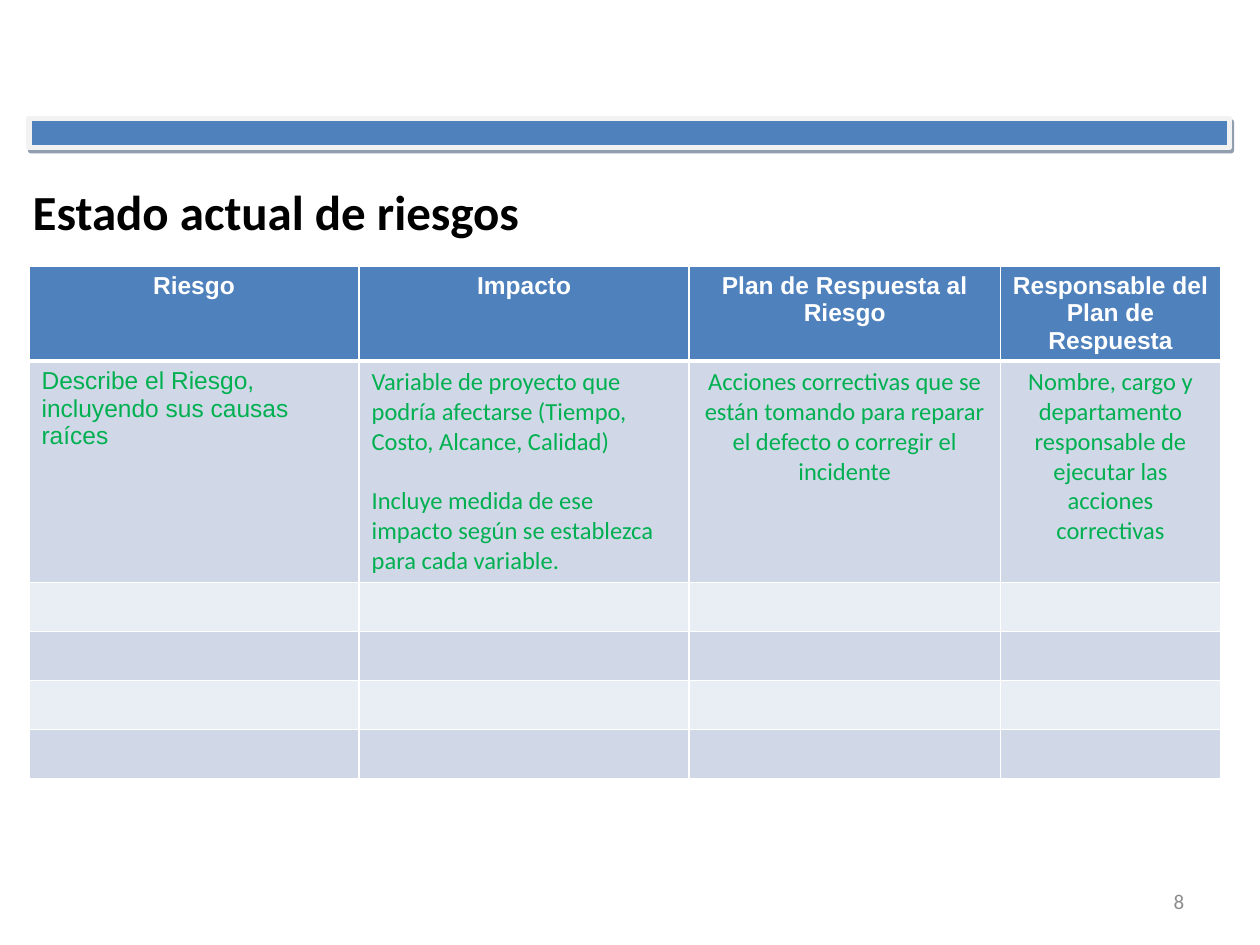
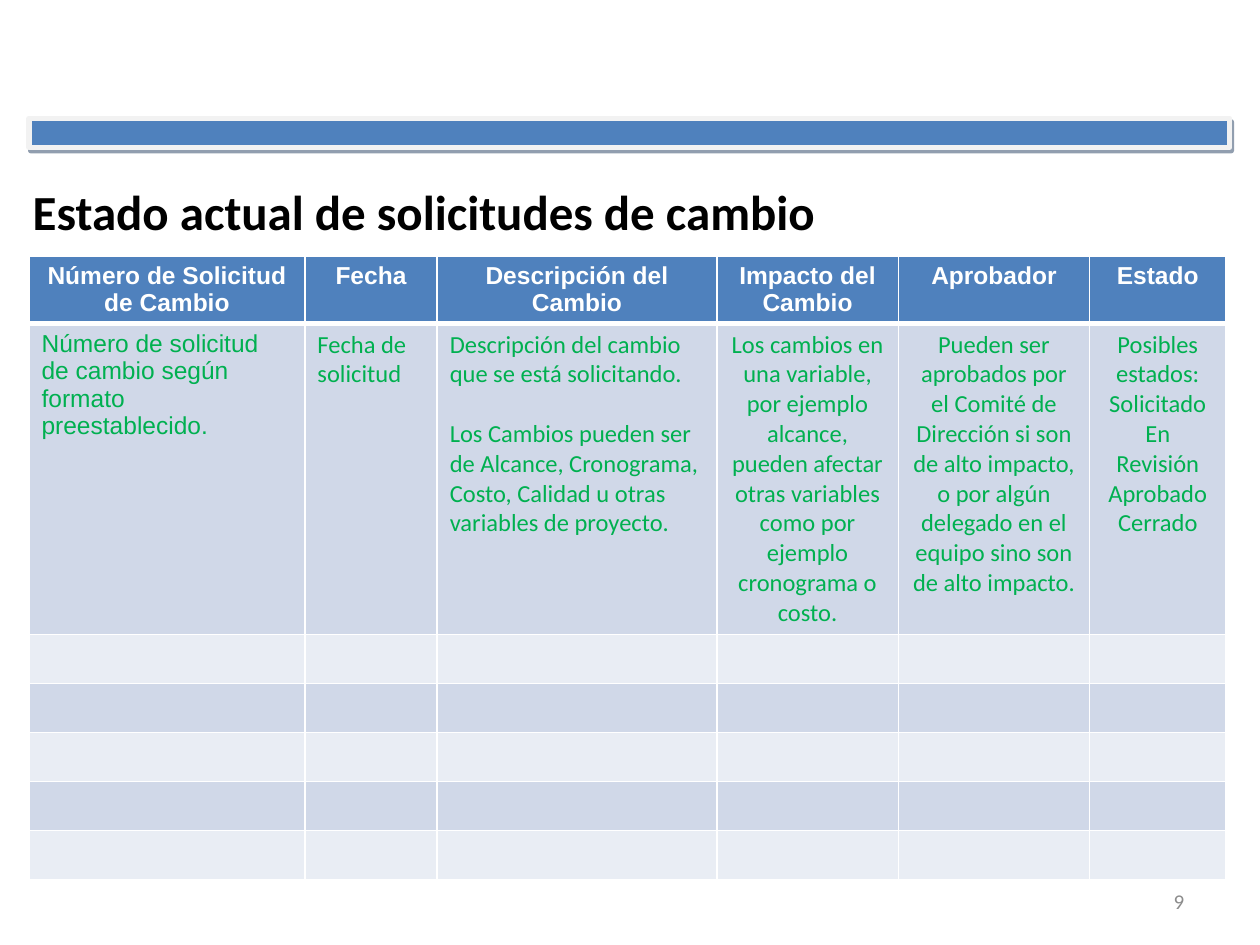
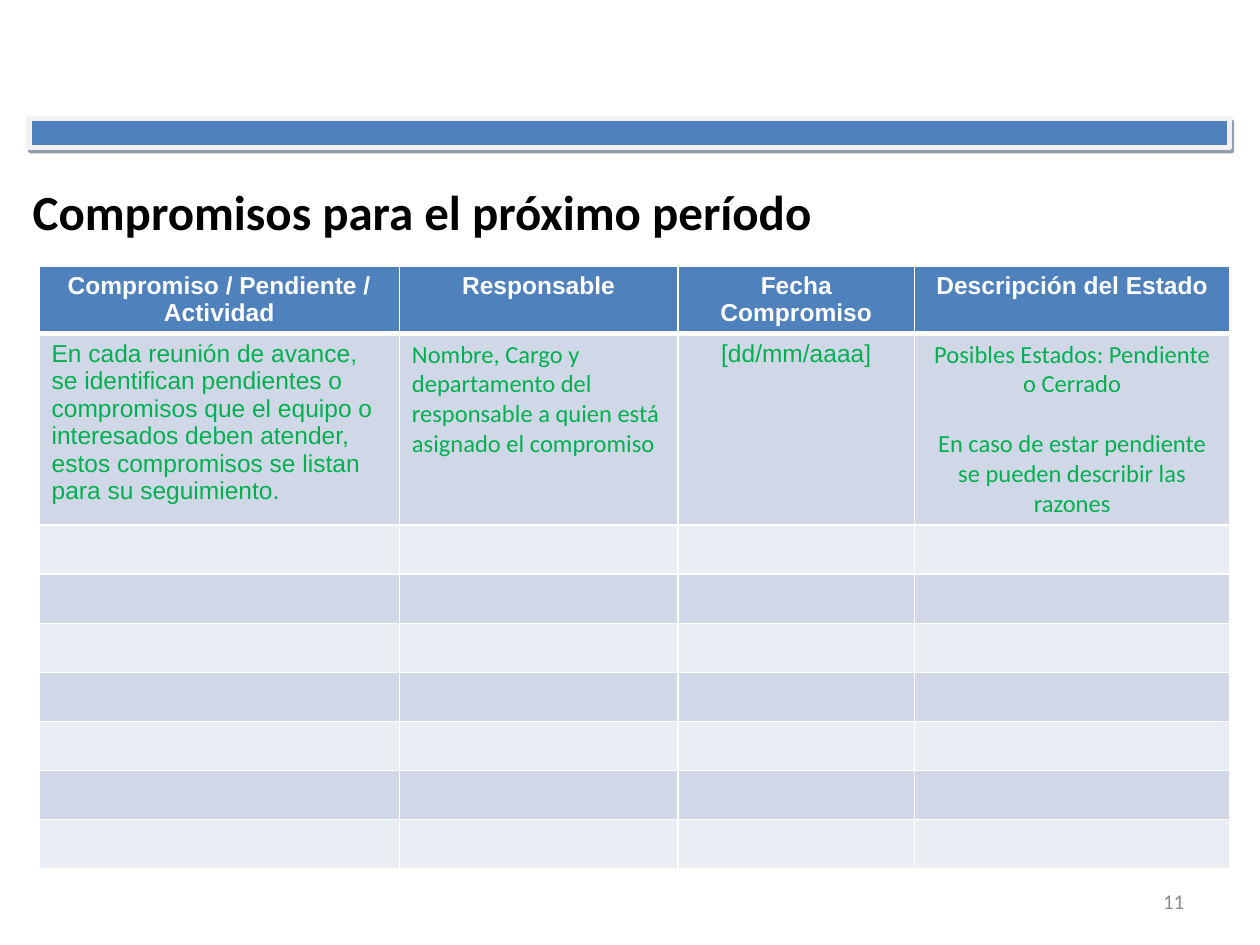
from copy import deepcopy
from dataclasses import dataclass

from lxml.etree import SubElement
from pptx import Presentation
from pptx.dml.color import RGBColor
from pptx.enum.shapes import MSO_SHAPE, PP_PLACEHOLDER
from pptx.enum.text import MSO_ANCHOR, MSO_AUTO_SIZE, PP_ALIGN
from pptx.oxml import parse_xml
from pptx.oxml.ns import nsdecls, qn
from pptx.util import Inches, Pt

LEFT, CENTER, RIGHT = PP_ALIGN.LEFT, PP_ALIGN.CENTER, PP_ALIGN.RIGHT


@dataclass(frozen=True)
class Theme:
    blue: str = "4F81BD"
    band_line: str = "F2F2F2"
    band_shadow: str = "243F60"
    odd_row: str = "D0D8E8"
    even_row: str = "E9EDF4"
    white: str = "FFFFFF"
    black: str = "000000"
    green: str = "00B050"
    gray: str = "8C8C8C"
    heading_font: str = "Arial"
    body_font: str = "Calibri"
    title_size: float = 28
    table_size: float = 14
    number_size: float = 12
    paragraph_gap: float = 17


@dataclass(frozen=True)
class Box:
    left: float
    top: float
    width: float
    height: float

    def place(self, shape):
        shape.left, shape.top = Inches(self.left), Inches(self.top)
        shape.width, shape.height = Inches(self.width), Inches(self.height)

    def lengths(self):
        return [Inches(n) for n in (self.left, self.top, self.width, self.height)]


@dataclass(frozen=True)
class Column:
    width: float
    heading: str
    example: str
    align: PP_ALIGN = LEFT
    font: str = "Calibri"
    gap: float = 0


THEME = Theme()
BAND_BOX = Box(0.23, 0.94, 9.53, 0.23)
TITLE_BOX = Box(0.16, 1.48, 8.5, 0.39)
NUMBER_BOX = Box(7.17, 6.95, 2.33, 0.4)
ROW_HEIGHT = 0.39
EMPTY_MARGIN = 0.03


def rgb(color):
    return RGBColor.from_string(color)


def write_text(frame, text, *, font, size, color, bold=False, align=LEFT, gap=0):
    frame.clear()
    frame.word_wrap = True
    for index, line in enumerate(text.split("\n")):
        paragraph = frame.add_paragraph() if index else frame.paragraphs[0]
        paragraph.alignment = align
        if index and gap:
            paragraph.space_before = Pt(gap)
        run = paragraph.add_run()
        run.text = line
        run.font.name = font
        run.font.size = Pt(size)
        run.font.bold = bold
        run.font.color.rgb = rgb(color)


def add_band(slide, box):
    band = slide.shapes.add_shape(MSO_SHAPE.RECTANGLE, *box.lengths())
    band.fill.solid()
    band.fill.fore_color.rgb = rgb(THEME.blue)
    band.line.color.rgb = rgb(THEME.band_line)
    band.line.width = Pt(3)
    band.element.spPr.append(parse_xml(
        f'<a:effectLst {nsdecls("a")}>'
        f'<a:outerShdw dist="{Pt(2.2)}" dir="{63 * 60000}" algn="ctr" rotWithShape="0">'
        f'<a:srgbClr val="{THEME.band_shadow}"><a:alpha val="50000"/></a:srgbClr>'
        '</a:outerShdw></a:effectLst>'))
    slide.slide_layout.shapes.element.append(band.element)


def fill_title(slide, text, box):
    title = slide.shapes.title
    box.place(title)
    write_text(title.text_frame, text, font=THEME.body_font, size=THEME.title_size,
               color=THEME.black, bold=True)
    title.text_frame.auto_size = MSO_AUTO_SIZE.NONE
    title.text_frame.vertical_anchor = MSO_ANCHOR.MIDDLE


def add_number(slide, number, box):
    source = next(holder for holder in slide.slide_layout.placeholders
                  if holder.placeholder_format.type == PP_PLACEHOLDER.SLIDE_NUMBER)
    slide.shapes.element.append(deepcopy(source.element))
    holder = slide.placeholders[source.placeholder_format.idx]
    box.place(holder)
    write_text(holder.text_frame, str(number), font=THEME.body_font,
               size=THEME.number_size, color=THEME.gray, align=RIGHT)
    holder.text_frame.vertical_anchor = MSO_ANCHOR.MIDDLE


def paint_cell(cell, color, bottom_width):
    cell.fill.solid()
    cell.fill.fore_color.rgb = rgb(color)
    properties = cell._tc.get_or_add_tcPr()
    for index, side in enumerate("LRTB"):
        width = Pt(bottom_width if side == "B" else 1)
        line = SubElement(properties, qn(f"a:ln{side}"), w=str(width))
        solid = SubElement(line, qn("a:solidFill"))
        SubElement(solid, qn("a:srgbClr"), val=THEME.white)
        properties.insert(index, line)


def add_status_table(slide, columns, row_count, box):
    frame = slide.shapes.add_table(row_count, len(columns), *box.lengths())
    table = frame.table
    for row in table.rows:
        row.height = Inches(ROW_HEIGHT)
    for column_index, column in enumerate(columns):
        table.columns[column_index].width = Inches(column.width)
        for row_index in range(row_count):
            cell = table.cell(row_index, column_index)
            if row_index == 0:
                paint_cell(cell, THEME.blue, 3)
                write_text(cell.text_frame, column.heading, font=THEME.heading_font,
                           size=THEME.table_size, color=THEME.white, bold=True,
                           align=CENTER)
                continue
            paint_cell(cell, THEME.odd_row if row_index % 2 else THEME.even_row, 1)
            if row_index == 1:
                write_text(cell.text_frame, column.example, font=column.font,
                           size=THEME.table_size, color=THEME.green,
                           align=column.align, gap=column.gap)
            else:
                cell.margin_top = cell.margin_bottom = Inches(EMPTY_MARGIN)
    box.place(frame)


def add_status_slide(presentation, layout, title, number, columns, row_count, table_box):
    slide = presentation.slides.add_slide(layout)
    fill_title(slide, title, TITLE_BOX)
    add_number(slide, number, NUMBER_BOX)
    add_status_table(slide, columns, row_count, table_box)
    return slide


RISKS = [
    Column(2.62, "Riesgo", "Describe el Riesgo, incluyendo sus causas raíces",
           font=THEME.heading_font),
    Column(2.62, "Impacto",
           "Variable de proyecto que podría afectarse (Tiempo, Costo, Alcance, Calidad)\n"
           "Incluye medida de ese impacto según se establezca para cada variable.",
           gap=THEME.paragraph_gap),
    Column(2.47, "Plan de Respuesta al Riesgo",
           "Acciones correctivas que se están tomando para reparar el defecto "
           "o corregir el incidente", CENTER),
    Column(1.75, "Responsable del Plan de Respuesta",
           "Nombre, cargo y departamento responsable de ejecutar las acciones "
           "correctivas", CENTER),
]

CHANGES = [
    Column(2.19, "Número de Solicitud de Cambio",
           "Número de solicitud de cambio según formato preestablecido.",
           font=THEME.heading_font),
    Column(1.05, "Fecha", "Fecha de solicitud"),
    Column(2.22, "Descripción del Cambio",
           "Descripción del cambio que se está solicitando.\n"
           "Los Cambios pueden ser de Alcance, Cronograma, Costo, Calidad u otras "
           "variables de proyecto.", gap=THEME.paragraph_gap),
    Column(1.44, "Impacto del Cambio",
           "Los cambios en una variable, por ejemplo alcance, pueden afectar otras "
           "variables como por ejemplo cronograma o costo.", CENTER),
    Column(1.52, "Aprobador",
           "Pueden ser aprobados por el Comité de Dirección si son de alto impacto, "
           "o por algún delegado en el equipo sino son de alto impacto.", CENTER),
    Column(1.08, "Estado",
           "Posibles estados:\nSolicitado\nEn Revisión\nAprobado\nCerrado", CENTER),
]

COMMITMENTS = [
    Column(2.86, "Compromiso / Pendiente / Actividad",
           "En cada reunión de avance, se identifican pendientes o compromisos que el "
           "equipo o interesados deben atender, estos compromisos se listan para su "
           "seguimiento.", font=THEME.heading_font),
    Column(2.21, "Responsable",
           "Nombre, Cargo y departamento del responsable a quien está asignado "
           "el compromiso"),
    Column(1.88, "Fecha Compromiso", "[dd/mm/aaaa]", CENTER, THEME.heading_font),
    Column(2.5, "Descripción del Estado",
           "Posibles Estados: Pendiente o Cerrado\n"
           "En caso de estar pendiente se pueden describir las razones",
           CENTER, gap=THEME.paragraph_gap),
]

SLIDES = [
    ("Estado actual de riesgos", 8, RISKS, 6, Box(0.23, 2.11, 9.45, 3.86)),
    ("Estado actual de solicitudes de cambio", 9, CHANGES, 7, Box(0.23, 2.03, 9.49, 4.95)),
    ("Compromisos para el próximo período", 11, COMMITMENTS, 9, Box(0.31, 2.11, 9.45, 4.8)),
]


def main():
    presentation = Presentation()
    presentation.slide_width, presentation.slide_height = Inches(10), Inches(7.5)
    layout = presentation.slide_layouts.get_by_name("Title Only")
    slides = [add_status_slide(presentation, layout, *content) for content in SLIDES]
    add_band(slides[0], BAND_BOX)
    presentation.save("out.pptx")


main()
